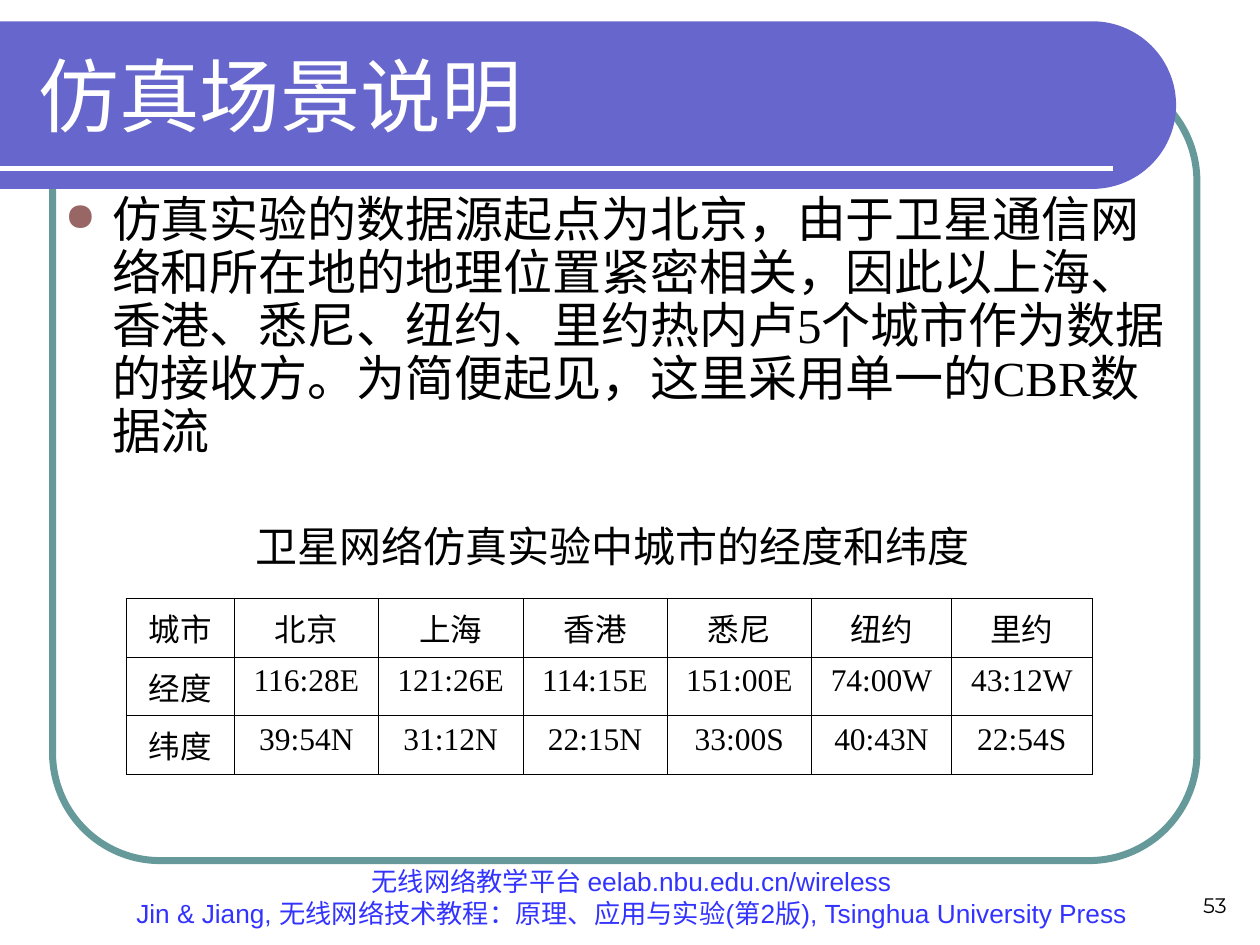
import math

from lxml import etree
from pptx import Presentation
from pptx import util as u
from pptx.dml.color import RGBColor
from pptx.enum import shapes, text
from pptx.oxml import parse_xml
from pptx.oxml.ns import nsdecls, qn

WHITE = RGBColor(0xFF, 0xFF, 0xFF)
BLACK = RGBColor(0, 0, 0)
PURPLE = RGBColor(0x66, 0x66, 0xCC)
TEAL = RGBColor(0x66, 0x99, 0x99)
BLUE = RGBColor(0x33, 0x33, 0xFF)
ALIGN = text.PP_ALIGN
ANCHOR = text.MSO_ANCHOR

presentation = Presentation()
presentation.slide_width = u.Cm(25.4)
presentation.slide_height = u.Cm(19.05)
slide = presentation.slides.add_slide(presentation.slide_layouts[5])


def write(frame, lines, size, font, color, align=ALIGN.LEFT):
    """Fill a text frame with one paragraph per line."""
    frame.text = "\n".join(lines)
    for paragraph in frame.paragraphs:
        paragraph.alignment = align
        for name, value in {"size": u.Pt(size), "name": font}.items():
            setattr(paragraph.font, name, value)
        paragraph.font.color.rgb = color


def add_text(box, lines, size, font, color, align=ALIGN.LEFT, **frame_format):
    """Add a text box at left, top, width, height in centimetres."""
    frame = slide.shapes.add_textbox(*map(u.Cm, box)).text_frame
    for name, value in {"word_wrap": True, **frame_format}.items():
        setattr(frame, name, value)
    write(frame, lines, size, font, color, align)
    return frame


# Rounded frame
frame_shape = slide.shapes.add_shape(
    shapes.MSO_SHAPE.ROUNDED_RECTANGLE, u.Cm(1.06), u.Cm(1.48), u.Cm(23.07), u.Cm(15.87))
frame_shape.adjustments[0] = 0.137
frame_shape.shadow.inherit = False
frame_shape.fill.background()
frame_shape.line.color.rgb = TEAL
frame_shape.line.width = u.Pt(4)

# Title banner with a half-round right end
center_x, center_y, radius = 22.02, 2.12, 1.69
arc = [(u.Cm(center_x + radius * math.cos(math.radians(angle))),
        u.Cm(center_y + radius * math.sin(math.radians(angle))))
       for angle in range(-90, 91, 3)]
builder = slide.shapes.build_freeform(0, arc[0][1])
builder.add_line_segments(arc + [(0, arc[-1][1])], close=True)
banner = builder.convert_to_shape()
banner.shadow.inherit = False
banner.fill.solid()
banner.fill.fore_color.rgb = PURPLE
banner.line.fill.background()

# White rule on the banner
rule = slide.shapes.add_connector(
    shapes.MSO_CONNECTOR.STRAIGHT, 0, u.Cm(3.39), u.Cm(22.44), u.Cm(3.39))
rule.line.color.rgb = WHITE
rule.line.width = u.Pt(3)
etree.SubElement(rule.element.spPr, qn("a:effectLst"))

# Title, in front of the banner
title = slide.shapes.title
title_place = {"left": 0.53, "top": 0.64, "width": 22.28, "height": 2.54}
for name, value in title_place.items():
    setattr(title, name, u.Cm(value))
title.text_frame.auto_size = text.MSO_AUTO_SIZE.NONE
title.text_frame.vertical_anchor = ANCHOR.MIDDLE
write(title.text_frame, ["仿真场景说明"], 46, "Arial", WHITE)
slide.shapes.element.append(title.element)

# Footer and slide number
add_text((1.96, 17.78, 21.54, 1.06),
         ["无线网络教学平台 eelab.nbu.edu.cn/wireless",
          "Jin & Jiang, 无线网络技术教程：原理、应用与实验(第2版), Tsinghua University Press"],
         15, "Arial", BLUE, ALIGN.CENTER, vertical_anchor=ANCHOR.BOTTOM)
add_text((19.05, 17.36, 5.93, 1.27), ["53"], 12, "Montserrat", BLACK, ALIGN.RIGHT,
         vertical_anchor=ANCHOR.BOTTOM)

# Bulleted description
body = add_text((1.06, 3.81, 22.86, 6.14), [
    "仿真实验的数据源起点为北京，由于卫星通信网络和所在地的地理位置紧密相关，"
    "因此以上海、香港、悉尼、纽约、里约热内卢5个城市作为数据的接收方。"
    "为简便起见，这里采用单一的CBR数据流"], 28, "Times New Roman", BLACK)
paragraph = body.paragraphs[0]
paragraph.line_spacing = 0.9
properties = paragraph._p.get_or_add_pPr()
properties.set("marL", str(u.Cm(0.95)))
properties.set("indent", str(u.Cm(-0.95)))
bullet = (f'<a:pPr {nsdecls("a")}><a:buClr><a:srgbClr val="996666"/></a:buClr>'
          '<a:buSzPct val="80000"/><a:buChar char="●"/></a:pPr>')
position = 1  # right after the line spacing
for offset, element in enumerate(list(parse_xml(bullet))):
    properties.insert(position + offset, element)

# Table of coordinates
rows = [
    ["城市", "北京", "上海", "香港", "悉尼", "纽约", "里约"],
    ["经度", "116:28E", "121:26E", "114:15E", "151:00E", "74:00W", "43:12W"],
    ["纬度", "39:54N", "31:12N", "22:15N", "33:00S", "40:43N", "22:54S"],
]
column_widths = [2.18, 2.91, 2.91, 2.91, 2.91, 2.82, 2.84]
row_height = 1.18
table = slide.shapes.add_table(
    len(rows), len(column_widths), u.Cm(2.54), u.Cm(12.07),
    u.Cm(sum(column_widths)), u.Cm(row_height * len(rows))).table
table.first_row = table.horz_banding = False
for column, width in zip(table.columns, column_widths):
    column.width = u.Cm(width)
for row, values in zip(table.rows, rows):
    row.height = u.Cm(row_height)
    for cell, value in zip(row.cells, values):
        write(cell.text_frame, [value], 18, "Times New Roman", BLACK, ALIGN.CENTER)
        cell.fill.background()
        for index, side in enumerate("LRTB"):
            cell._tc.tcPr.insert(index, parse_xml(
                f'<a:ln{side} {nsdecls("a")} w="{u.Pt(0.45)}"><a:solidFill>'
                f'<a:srgbClr val="{BLACK}"/></a:solidFill></a:ln{side}>'))

# Table caption
add_text((4.9, 10.36, 15.09, 1.27), ["卫星网络仿真实验中城市的经度和纬度"], 24, "Arial", BLACK,
         word_wrap=False, vertical_anchor=ANCHOR.MIDDLE,
         auto_size=text.MSO_AUTO_SIZE.SHAPE_TO_FIT_TEXT)

presentation.save("out.pptx")
